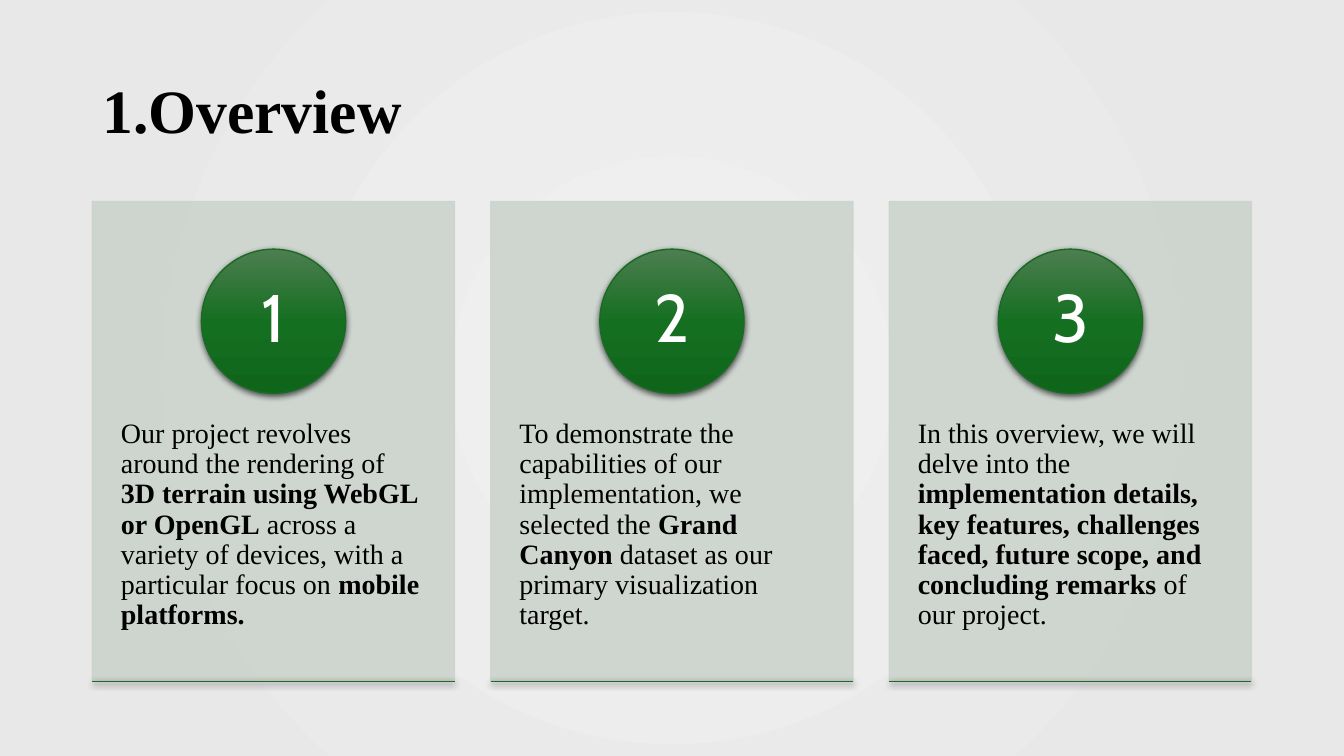
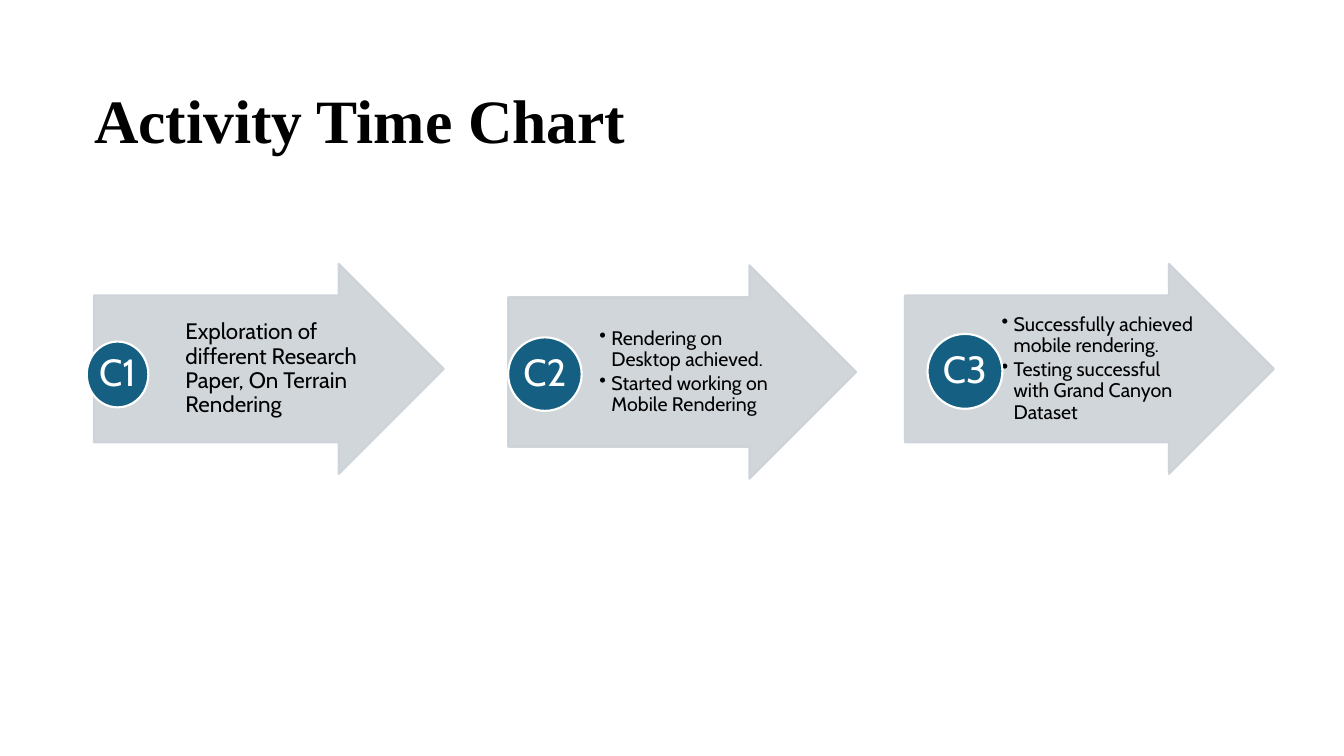
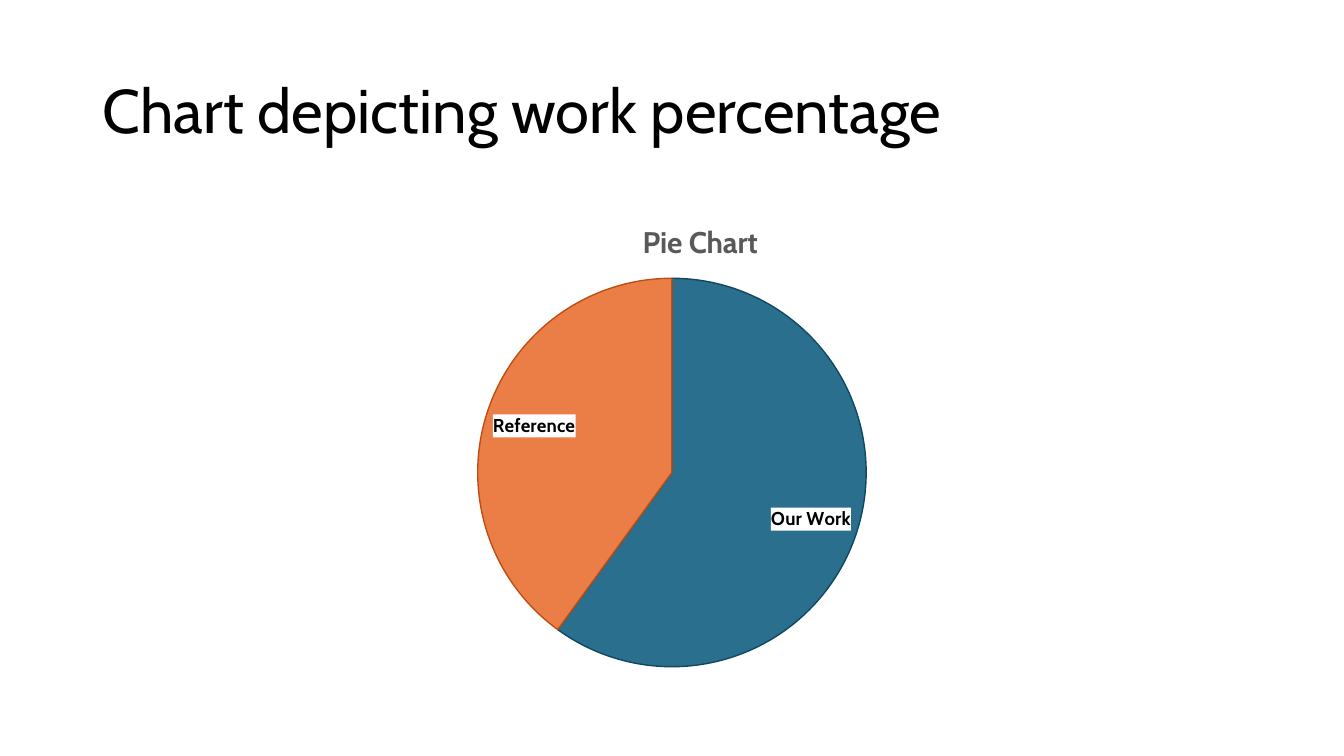
from lxml import etree
from pptx import Presentation
from pptx.chart.data import CategoryChartData
from pptx.dml.color import RGBColor
from pptx.enum.chart import XL_CHART_TYPE, XL_LABEL_POSITION
from pptx.enum.shapes import MSO_CONNECTOR, MSO_SHAPE
from pptx.enum.text import MSO_ANCHOR, PP_ALIGN
from pptx.oxml import parse_xml
from pptx.oxml.ns import nsdecls, qn
from pptx.util import Pt

RECTANGLE, OVAL, ARROW = MSO_SHAPE.RECTANGLE, MSO_SHAPE.OVAL, MSO_SHAPE.RIGHT_ARROW
LEFT, CENTER = PP_ALIGN.LEFT, PP_ALIGN.CENTER
TOP, MIDDLE = MSO_ANCHOR.TOP, MSO_ANCHOR.MIDDLE
SERIF, SANS = "Times New Roman", "Cabin"
BLACK, WHITE, GREY = "000000", "FFFFFF", "595959"
BLUE, GREEN, CARD, ARROW_GREY = "156082", "196B24", "CCD4CD", "CCD2D8"

colour = RGBColor.from_string
translucent = []  # colour elements that get 90 % opacity at the end


def draw(page, kind, at, fill, line, width):
    shape = page.shapes.add_shape(kind, *map(Pt, at))
    shape.shadow.inherit = False
    shape.fill.solid()
    shape.fill.fore_color.rgb = colour(fill)
    shape.line.color.rgb = colour(line)
    shape.line.width = Pt(width)
    return shape


def write(frame, paragraphs, font, size, ink=BLACK, align=LEFT, anchor=MIDDLE,
          insets=(7.2, 3.6, 7.2, 3.6), wrap=True, bold=None, bullets=False):
    """Fill a text frame; each paragraph is a list of spans, every second one bold."""
    frame.word_wrap = wrap
    frame.vertical_anchor = anchor
    frame.margin_left, frame.margin_top, frame.margin_right, frame.margin_bottom = map(Pt, insets)
    for number, spans in enumerate(paragraphs):
        para = frame.add_paragraph() if number else frame.paragraphs[0]
        if bullets:
            properties = para._p.get_or_add_pPr()
            properties.set("marL", str(Pt(8.64)))
            properties.set("indent", str(Pt(-8.64)))
            etree.SubElement(properties, qn("a:buChar"), char="•")
            para.space_after = Pt(2)
        para.alignment = align
        para.line_spacing = 0.9
        para.font.name, para.font.size, para.font.bold = font, Pt(size), bold
        para.font.color.rgb = colour(ink)
        for position, text in enumerate(spans):
            span = para.add_run()
            span.text = text
            if position % 2:
                span.font.bold = True


deck = Presentation()
deck.slide_width, deck.slide_height = Pt(960), Pt(540)

# Titles
pages = []
for title, font, bold, top, height in [
    ("1.Overview", SERIF, True, 28.75, 104.4),
    ("Activity Time Chart", SERIF, True, 56, 64),
    ("Chart depicting work percentage", SANS, False, 28.75, 104.4),
]:
    page = deck.slides.add_slide(deck.slide_layouts[5])
    heading = page.shapes.title
    heading.left, heading.top = Pt(60 if top == 56 else 66), Pt(top)
    heading.width, heading.height = Pt(828), Pt(height)
    write(heading.text_frame, [[title]], font, 44, bold=bold)
    pages.append(page)
overview, timeline, share = pages

# Overview: radial background and three numbered cards
backdrop = overview.background.fill
backdrop.gradient()
for stop, shade, position in zip(backdrop.gradient_stops, ("EFEFEF", "E8E8E8"), (0.1, 0.85)):
    stop.color.rgb = colour(shade)
    stop.position = position
linear = overview.element.xpath("./p:cSld/p:bg//a:lin")[0]
linear.getparent().replace(linear, parse_xml(
    f'<a:path {nsdecls("a")} path="circle">'
    '<a:fillToRect l="50000" t="50000" r="50000" b="50000"/></a:path>'))

CARD_WIDTH, CARD_HEIGHT, CARD_TOP, CARD_STEP, DISC = 258.75, 342.6, 144, 284.6, 103
cards = [
    ["Our project revolves around the rendering of ", "3D terrain using WebGL or OpenGL",
     " across a variety of devices, with a particular focus on ", "mobile platforms.\u00a0"],
    ["To demonstrate the capabilities of our implementation, we selected the ",
     "Grand Canyon", " dataset as our primary visualization target."],
    ["In this overview, we will delve into the ",
     "implementation details, key features, challenges faced, future scope, and concluding remarks",
     " of our project."],
]
for index, spans in enumerate(cards):
    left = 66 + index * CARD_STEP
    card = draw(overview, RECTANGLE, (left, CARD_TOP, CARD_WIDTH, CARD_HEIGHT), CARD, CARD, 1)
    translucent += card.element.xpath("./p:spPr//a:srgbClr")
    write(card.text_frame, [spans], SERIF, 20, anchor=TOP, insets=(20.4, 155.5, 20.4, 26))

    disc = draw(overview, OVAL, (left + (CARD_WIDTH - DISC) / 2, 178, DISC, DISC), GREEN, GREEN, 1)
    write(disc.text_frame, [[str(index + 1)]], SANS, 48, WHITE, CENTER, insets=(8, 1, 8, 1))
    solid = disc.element.xpath("./p:spPr/a:solidFill")[0]
    stops = "".join(
        f'<a:gs pos="{position}"><a:srgbClr val="{shade}"/></a:gs>'
        for position, shade in [(0, "4D7E50"), (50000, "156F21"), (100000, "0F661B")])
    solid.getparent().replace(solid, parse_xml(
        f'<a:gradFill {nsdecls("a")}><a:gsLst>{stops}</a:gsLst><a:lin ang="5400000"/></a:gradFill>'))

    bottom = CARD_TOP + CARD_HEIGHT
    rule = overview.shapes.add_connector(
        MSO_CONNECTOR.STRAIGHT, Pt(left), Pt(bottom), Pt(left + CARD_WIDTH), Pt(bottom))
    rule.line.color.rgb = colour(GREEN)
    rule.line.width = Pt(1)
    etree.SubElement(rule.element.spPr, qn("a:effectLst"))
    for shape in (disc, rule):
        shape.element.xpath("./p:spPr/a:effectLst")[0].append(parse_xml(
            f'<a:outerShdw {nsdecls("a")} blurRad="{Pt(4.5)}" dist="{Pt(1.5)}" dir="5400000">'
            '<a:srgbClr val="000000"><a:alpha val="63000"/></a:srgbClr></a:outerShdw>'))

# Timeline: arrows with a badge each
stages = [
    ((67, 188.5, 250, 150), (62, 244, 44, 47), 16,
     ["Exploration of different Research Paper, On Terrain Rendering"]),
    ((363, 189.5, 248.5, 152.5), (363, 241, 52.5, 52.5), 14,
     ["Rendering on Desktop achieved.", "Started working on Mobile Rendering"]),
    ((646.5, 188.5, 263.5, 150), (662.5, 238.5, 53.5, 53.5), 14,
     ["Successfully achieved mobile rendering.", "Testing successful with Grand Canyon Dataset"]),
]
for number, (arrow_at, badge_at, size, lines) in enumerate(stages, 1):
    arrow = draw(timeline, ARROW, arrow_at, ARROW_GREY, ARROW_GREY, 1.5)
    arrow.adjustments[0], arrow.adjustments[1] = 0.7, 0.5
    translucent += arrow.element.xpath("./p:spPr//a:srgbClr")
    left, top, width, height = arrow_at
    box = timeline.shapes.add_textbox(
        Pt(left + 0.25 * width), Pt(top + 0.15 * height), Pt(0.55 * width), Pt(0.7 * height))
    write(box.text_frame, [[line] for line in lines], SANS, size,
          insets=(3, 1, 1.5, 1), bullets=len(lines) > 1)
    badge = draw(timeline, OVAL, badge_at, BLUE, WHITE, 1.5)
    write(badge.text_frame, [[f"C{number}"]], SANS, 27, WHITE, CENTER,
          insets=(1.5, 1.5, 1.5, 1.5), wrap=False)

# Share of work: pie chart
data = CategoryChartData()
data.categories = ["Our Work", "Reference"]
data.add_series("Series 1", (60, 40))
chart = share.shapes.add_chart(
    XL_CHART_TYPE.PIE, Pt(66), Pt(144), Pt(828), Pt(342.6), data).chart
chart.has_legend = False
chart.font.name, chart.font.size = SANS, Pt(10)
chart.font.color.rgb = colour(BLACK)
chart.has_title = True
caption = chart.chart_title.text_frame.paragraphs[0]
caption.text = "Pie Chart"
caption.font.name, caption.font.size, caption.font.bold = SANS, Pt(21.3), True
caption.font.color.rgb = colour(GREY)

plot = chart.plots[0]
plot.vary_by_categories = True
for index, (fill, edge) in enumerate([(BLUE, "104862"), ("E97132", "BF4E14")]):
    piece = plot.series[0].points[index].format
    piece.fill.solid()
    piece.fill.fore_color.rgb = colour(fill)
    piece.line.color.rgb = colour(edge)
    piece.line.width = Pt(1)
translucent += chart.element.xpath(".//c:dPt/c:spPr/a:solidFill/a:srgbClr")

plot.has_data_labels = True
labels = plot.data_labels
labels.show_category_name, labels.show_percentage, labels.show_value = True, False, False
labels.position = XL_LABEL_POSITION.INSIDE_END
labels.font.name, labels.font.size, labels.font.bold = SANS, Pt(13.3), True
labels.font.color.rgb = colour(BLACK)
chart.element.xpath(".//c:dLbls/c:txPr")[0].addprevious(parse_xml(
    f'<c:spPr {nsdecls("c", "a")}><a:solidFill><a:srgbClr val="{WHITE}"/></a:solidFill></c:spPr>'))

# Fractions of the chart area
for tag, places in [
    ("c:title", {"xMode": "edge", "yMode": "edge", "x": 0.47, "y": 0.03}),
    ("c:plotArea", {"layoutTarget": "inner", "xMode": "edge", "yMode": "edge",
                    "x": 0.33, "y": 0.16, "w": 0.34, "h": 0.81}),
]:
    parent = chart.element.xpath(f"./c:chart/{tag}")[0]
    layout = parent.find(qn("c:layout"))
    if layout is None:
        layout = etree.Element(qn("c:layout"))
        parent.insert(0, layout)
    manual = etree.SubElement(layout, qn("c:manualLayout"))
    for name, value in places.items():
        etree.SubElement(manual, qn(f"c:{name}"), val=str(value))

for element in translucent:
    etree.SubElement(element, qn("a:alpha"), val="90000")

deck.save("out.pptx")
